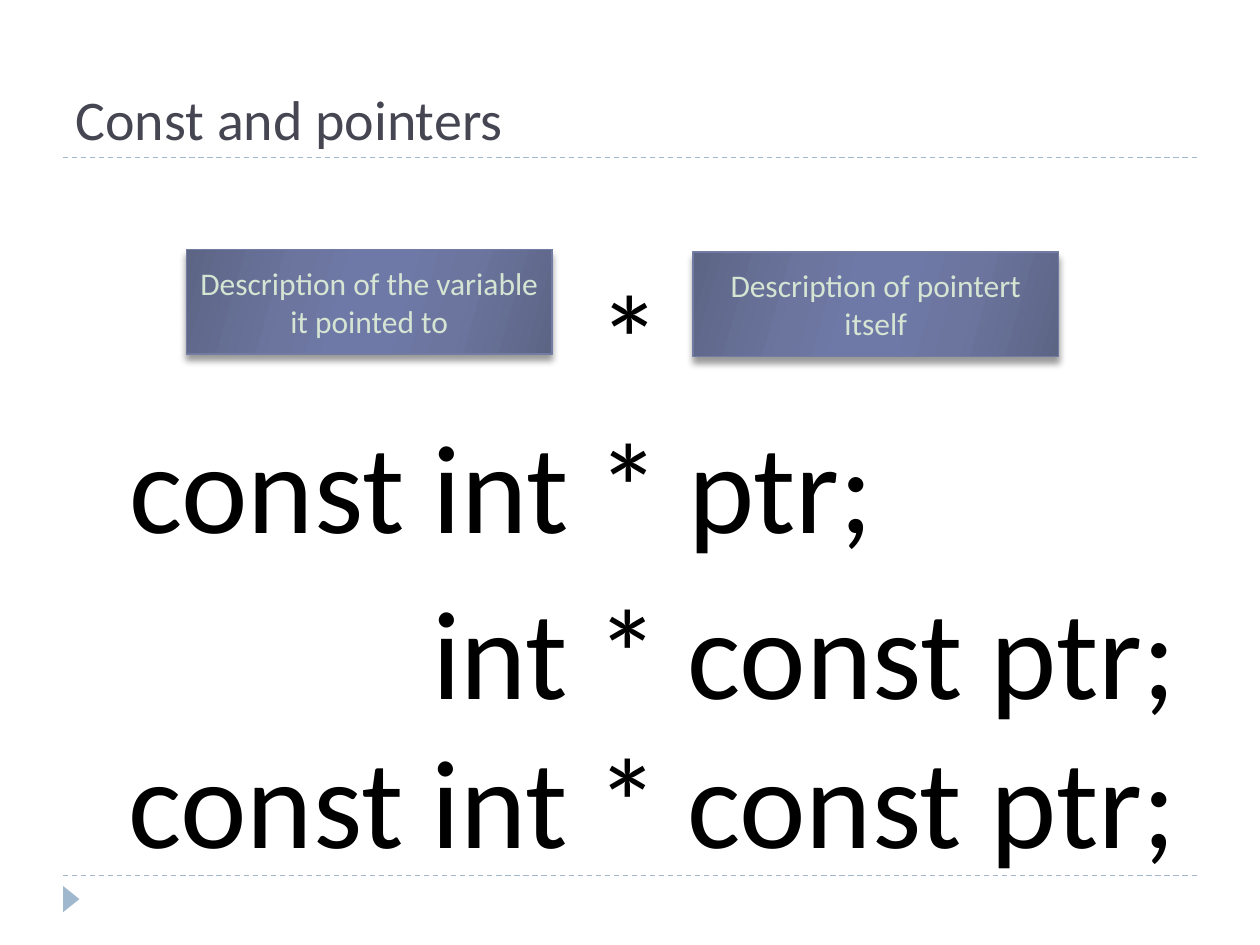
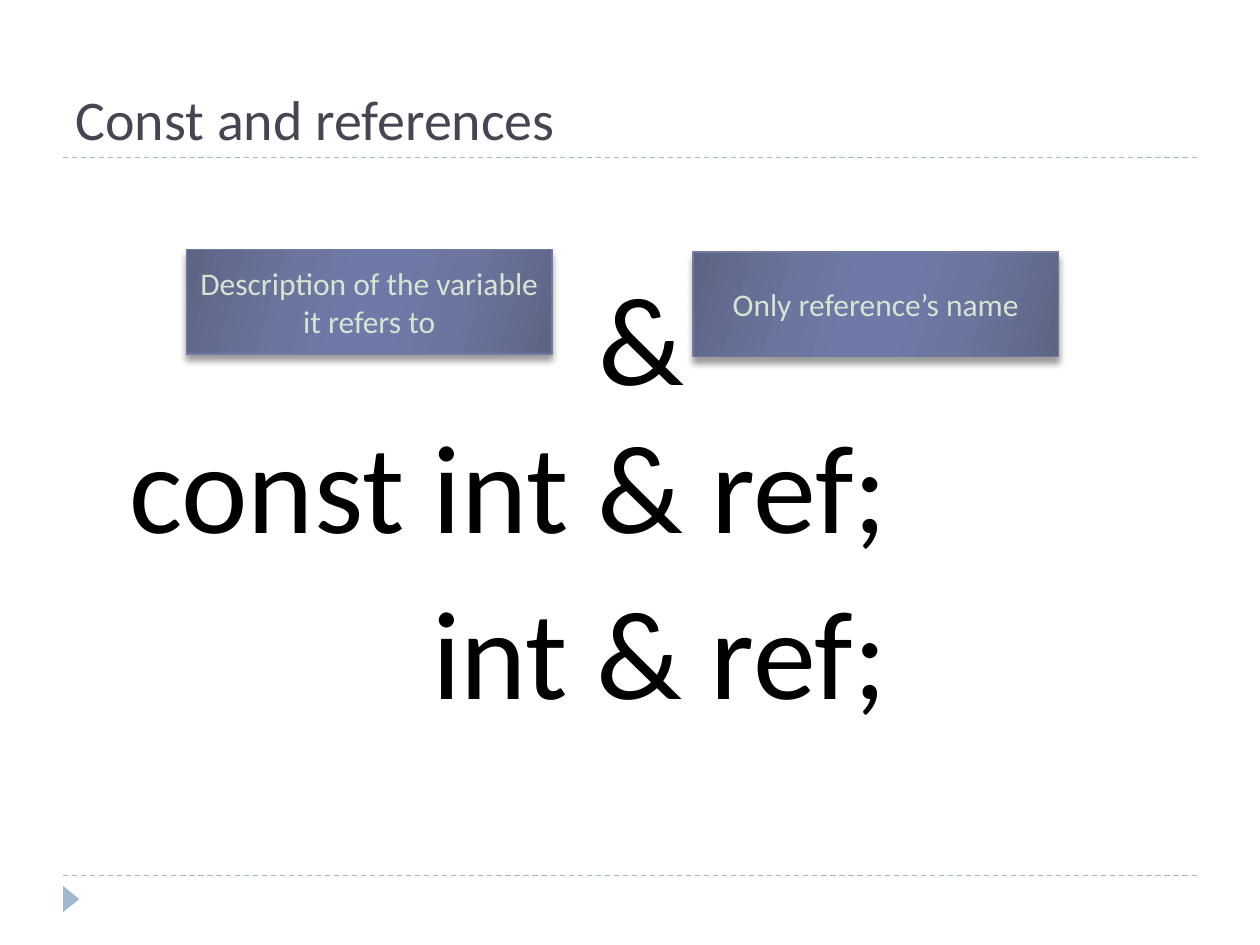
"""Build two slides on const with pointers and const with references."""
from dataclasses import dataclass

from lxml.etree import SubElement
from pptx import Presentation
from pptx.dml.color import RGBColor
from pptx.enum.dml import MSO_LINE
from pptx.enum.shapes import MSO_CONNECTOR, MSO_SHAPE
from pptx.enum.text import MSO_ANCHOR, MSO_AUTO_SIZE, PP_ALIGN
from pptx.oxml.ns import qn
from pptx.util import Cm, Pt


@dataclass(frozen=True)
class Theme:
    font: str = "Calibri"
    title_size: int = 32
    label_size: int = 18
    code_size: int = 72
    background: str = "FFFFFF"
    title: str = "464653"
    accent: str = "9FB8CD"
    label_text: str = "D6E4D3"
    label_edge: str = "727CA3"
    code: str = "000000"
    label_gradient: tuple = ((0, "5D6585"), (30, "6B759E"), (45, "6E79A7"),
                             (55, "6E79A7"), (73, "6B759E"), (100, "5D6585"))


THEME = Theme()


def write(frame, text, size, color, align=PP_ALIGN.LEFT):
    """Put one styled paragraph into a text frame."""
    paragraph = frame.paragraphs[0]
    paragraph.text = text
    paragraph.alignment = align
    paragraph.font.name = THEME.font
    paragraph.font.size = Pt(size)
    paragraph.font.color.rgb = RGBColor.from_string(color)


def add_label(slide, left, top, text):
    """Add a shaded label with a soft shadow below it."""
    label = slide.shapes.add_shape(MSO_SHAPE.RECTANGLE, Cm(left), Cm(top), Cm(7.37), Cm(2.11))
    label.fill.gradient()
    label.fill.gradient_angle = 344
    properties = label.element.spPr
    stops = properties.find(".//" + qn("a:gsLst"))
    for stop in list(stops):
        stops.remove(stop)
    for position, color in THEME.label_gradient:
        stop = SubElement(stops, qn("a:gs"), pos=str(position * 1000))
        SubElement(stop, qn("a:srgbClr"), val=color)
    label.line.color.rgb = RGBColor.from_string(THEME.label_edge)
    label.line.width = Pt(0.75)
    label.shadow.inherit = False
    shadow = SubElement(properties.find(qn("a:effectLst")), qn("a:outerShdw"),
                        blurRad=str(Pt(4)), dist=str(Pt(3.4)), dir="5400000", rotWithShape="0")
    shadow_color = SubElement(shadow, qn("a:srgbClr"), val="000000")
    SubElement(shadow_color, qn("a:alpha"), val="40000")
    label.text_frame.word_wrap = True
    label.text_frame.vertical_anchor = MSO_ANCHOR.MIDDLE
    write(label.text_frame, text, THEME.label_size, THEME.label_text, PP_ALIGN.CENTER)


TOPICS = [
    ("Const and pointers", "Description of the variable it pointed to", "Description of pointert itself",
     [("*", 11.81, 5.11, 1.8),
      ("const int * ptr;", 2.36, 8.1, 15.67),
      ("int * const ptr;", 8.46, 11.43, 15.67),
      ("const int * const ptr;", 2.34, 14.45, 21.87)]),
    ("Const and references", "Description of the variable it refers to", "Only reference’s name",
     [("&", 11.81, 5.11, 2.26),
      ("const int & ref;", 2.36, 8.1, 15.95),
      ("int & ref;", 8.46, 11.43, 9.78)]),
]

deck = Presentation()
deck.slide_width, deck.slide_height = Cm(25.4), Cm(19.05)
background = deck.slide_master.background.fill
background.solid()
background.fore_color.rgb = RGBColor.from_string(THEME.background)

for heading, target_text, name_text, declarations in TOPICS:
    slide = deck.slides.add_slide(deck.slide_layouts[5])

    for rule_top in (17.65, 3.18):
        rule = slide.shapes.add_connector(
            MSO_CONNECTOR.STRAIGHT, Cm(1.27), Cm(rule_top), Cm(24.13), Cm(rule_top))
        rule.line.color.rgb = RGBColor.from_string(THEME.accent)
        rule.line.width = Pt(0.75)
        rule.line.dash_style = MSO_LINE.DASH
        SubElement(rule.element.spPr, qn("a:effectLst"))

    marker = slide.shapes.add_shape(
        MSO_SHAPE.ISOSCELES_TRIANGLE, Cm(1.17), Cm(17.96), Cm(0.53), Cm(0.33))
    marker.rotation = 90
    marker.shadow.inherit = False
    marker.fill.solid()
    marker.fill.fore_color.rgb = RGBColor.from_string(THEME.accent)
    marker.line.fill.background()

    title = slide.shapes.title
    title.left, title.top, title.width, title.height = Cm(1.27), Cm(0.64), Cm(22.86), Cm(2.54)
    title.text_frame.vertical_anchor = MSO_ANCHOR.BOTTOM
    write(title.text_frame, heading, THEME.title_size, THEME.title)

    add_label(slide, 3.76, 5.03, target_text)
    add_label(slide, 13.97, 5.08, name_text)

    for code, left, top, width in declarations:
        declaration = slide.shapes.add_textbox(Cm(left), Cm(top), Cm(width), Cm(3.33))
        declaration.text_frame.word_wrap = False
        declaration.text_frame.auto_size = MSO_AUTO_SIZE.SHAPE_TO_FIT_TEXT
        write(declaration.text_frame, code, THEME.code_size, THEME.code)

deck.save("out.pptx")
